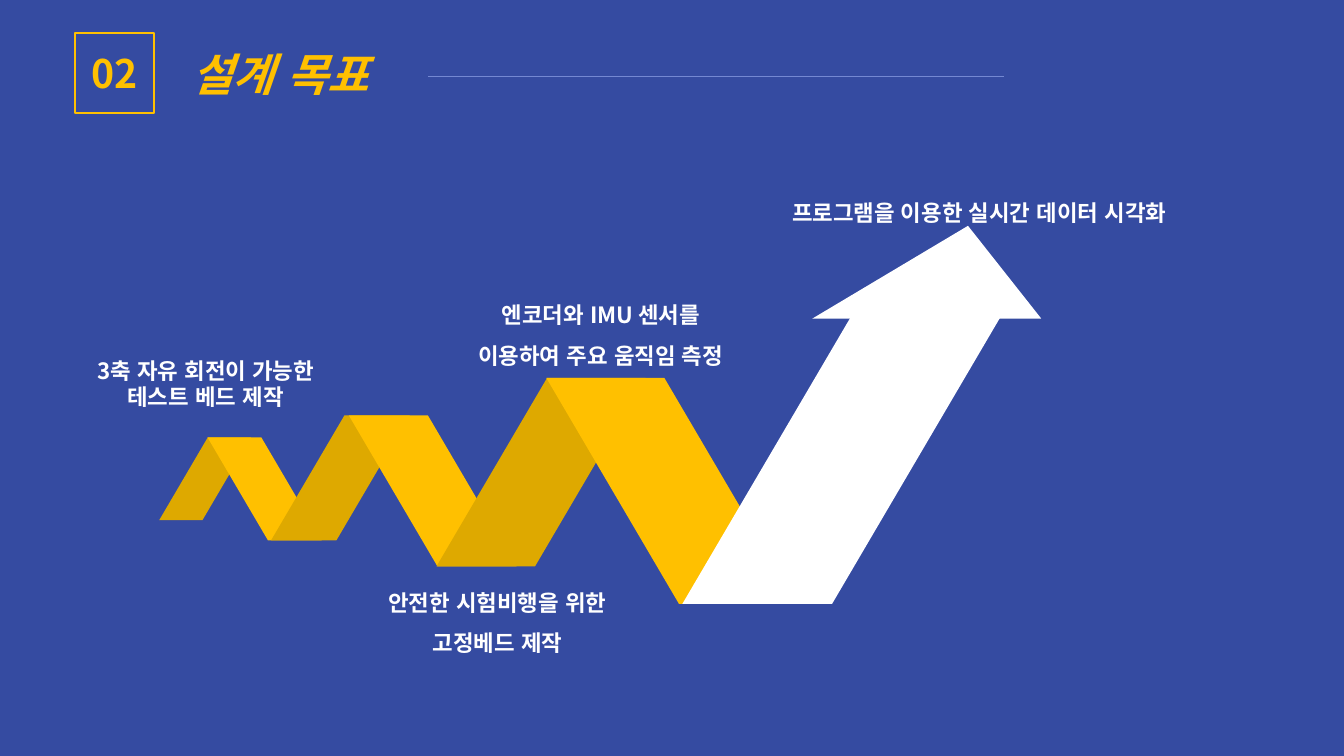
import itertools

import pptx
import pptx.dml.color
import pptx.enum.lang
import pptx.enum.shapes
import pptx.enum.text
import pptx.oxml.ns
import pptx.util
from lxml import etree

CELL = 0.1
COLUMNS, ROWS = 133.33, 75
FONT = "Noto Sans CJK KR"
BLUE, PALE, GOLD, DARK_GOLD, WHITE = "354BA1", "7488D2", "FFC000", "DEA900", "FFFFFF"
SLANT = 0.587
STRIP_RATIO = 1.11
STRIP_LEFTS = [15.8, 20.6, 26.9, 34.6, 43.3, 54.2, 67.7]
ZIGZAG_ROWS = [51.6, 43.4, 53.6, 41.2, 56.2, 37.5, 59.9, 31.5]
SHAPES = pptx.enum.shapes.MSO_SHAPE
ALIGN = pptx.enum.text.PP_ALIGN


def cells(count):
    return pptx.util.Inches(count * CELL)


def color(value):
    return pptx.dml.color.RGBColor.from_string(value)


def write(box, text, size=16, ink=WHITE, italic=False, align=ALIGN.CENTER, spacing=None):
    frame = box.text_frame
    frame.word_wrap = True
    for index, line in enumerate(text.split("\n")):
        para = frame.add_paragraph() if index else frame.paragraphs[0]
        para.alignment = align
        para.line_spacing = spacing
        span = para.add_run()
        span.text = line
        font = span.font
        font.name, font.size = FONT, pptx.util.Pt(size)
        font.bold, font.italic = True, italic
        font.color.rgb = color(ink)
        font.language_id = pptx.enum.lang.MSO_LANGUAGE_ID.KOREAN
        east = etree.SubElement(font._element, pptx.oxml.ns.qn("a:ea"))
        east.set("typeface", FONT)


def add_label(page, left, top, width, height, text, **format):
    box = page.shapes.add_textbox(*map(cells, (left, top, width, height)))
    write(box, text, **format)
    box.text_frame.auto_size = pptx.enum.text.MSO_AUTO_SIZE.SHAPE_TO_FIT_TEXT


def add_block(page, kind, left, top, width, height, fill=None, line=None):
    block = page.shapes.add_shape(kind, *map(cells, (left, top, width, height)))
    block.shadow.inherit = False
    if fill:
        block.fill.solid()
        block.fill.fore_color.rgb = color(fill)
    else:
        block.fill.background()
    if line:
        block.line.color.rgb = color(line)
        block.line.width = pptx.util.Pt(1.5)
    else:
        block.line.fill.background()
    return block


def add_rule(page, left, right, row):
    rule = page.shapes.add_connector(
        pptx.enum.shapes.MSO_CONNECTOR.STRAIGHT,
        cells(left), cells(row), cells(right), cells(row))
    rule.line.color.rgb = color(PALE)
    rule.line.width = pptx.util.Pt(0.5)
    etree.SubElement(rule._element.spPr, pptx.oxml.ns.qn("a:effectLst"))


def add_zigzag_arrow(page):
    levels = itertools.pairwise(ZIGZAG_ROWS)
    for index, (left, (start, end)) in enumerate(zip(STRIP_LEFTS, levels)):
        falling = end > start
        last = index == len(STRIP_LEFTS) - 1
        fill = WHITE if last else GOLD if falling else DARK_GOLD
        height = abs(end - start)
        strip = add_block(page, SHAPES.PARALLELOGRAM, left, min(start, end),
                          height * STRIP_RATIO, height, fill)
        strip.adjustments[0] = SLANT
        if falling:
            strip._element.spPr.xfrm.set("flipH", "1")
    head = add_block(page, SHAPES.ISOSCELES_TRIANGLE, 80.6, 22.4, 22.7, 9.2, WHITE)
    head.adjustments[0] = 0.68


def add_header(page, number, title):
    add_label(page, 18, 4.1, 53.5, 8.2, title,
              size=32, ink=GOLD, italic=True, align=ALIGN.LEFT)
    add_rule(page, 42.5, 99.6, 7.6)
    badge = add_block(page, SHAPES.RECTANGLE, 7.4, 3.3, 7.9, 7.9, line=GOLD)
    badge.text_frame.vertical_anchor = pptx.enum.text.MSO_ANCHOR.MIDDLE
    write(badge, number, size=28, ink=GOLD)


def main():
    deck = pptx.Presentation()
    deck.slide_width, deck.slide_height = cells(COLUMNS), cells(ROWS)
    page = deck.slides.add_slide(deck.slide_layouts[6])
    page.background.fill.solid()
    page.background.fill.fore_color.rgb = color(BLUE)
    add_header(page, "02", "설계 목표")
    add_zigzag_arrow(page)
    add_label(page, 36.2, 56.6, 26.3, 8.6, "안전한 시험비행을 위한\n고정베드 제작", spacing=1.5)
    add_label(page, 6.2, 34.9, 28.4, 6.4, "3축 자유 회전이 가능한 테스트 베드 제작")
    add_label(page, 45.4, 28.1, 28.4, 8.6, "엔코더와 IMU 센서를 이용하여 주요 움직임 측정", spacing=1.5)
    add_label(page, 75.3, 17.9, 43.7, 4.5, "프로그램을 이용한 실시간 데이터 시각화", spacing=1.5)
    deck.save("out.pptx")


if __name__ == "__main__":
    main()
